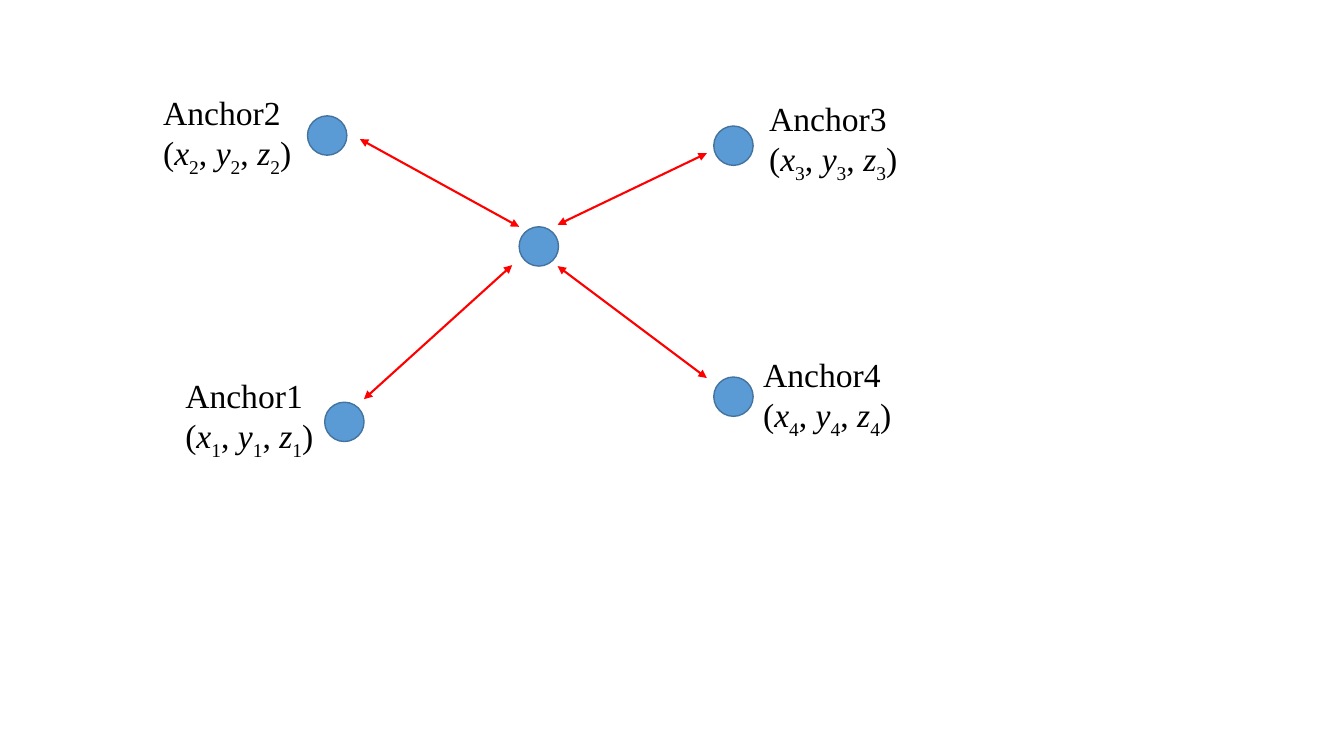
"""Build a slide of four anchors ranging to one central tag."""
from lxml.etree import SubElement
from pptx import Presentation
from pptx.dml.color import RGBColor
from pptx.enum.shapes import MSO_CONNECTOR, MSO_SHAPE
from pptx.enum.text import MSO_AUTO_SIZE
from pptx.oxml.ns import qn
from pptx.util import Inches, Pt

THEME = {
    "dot": RGBColor.from_string("5B9BD5"),
    "edge": RGBColor.from_string("43739E"),
    "link": RGBColor.from_string("FF0000"),
    "ink": RGBColor.from_string("000000"),
    "font": "Times New Roman",
    "size": Pt(24),
}

deck = Presentation()
deck.slide_width, deck.slide_height = Inches(13.33), Inches(7.5)
slide = deck.slides.add_slide(deck.slide_layouts[6])


def place(x, y):
    """Turn percent shares of the slide into lengths."""
    return round(deck.slide_width * x / 100), round(deck.slide_height * y / 100)


def write(para, text, slant=False, base=0):
    """Add one run in the label style."""
    run = para.add_run()
    run.text = text
    run.font.name, run.font.size = THEME["font"], THEME["size"]
    run.font.color.rgb = THEME["ink"]
    run.font.italic = slant
    if base:
        run._r.get_or_add_rPr().set("baseline", str(base * 1000))


tag = (38.63, 30)
anchors = {
    "1": {"dot": (24.16, 53.2), "label": (13.05, 48.93)},
    "2": {"dot": (22.88, 15.33), "label": (11.4, 11.47)},
    "3": {"dot": (53.11, 16.67), "label": (56.49, 12.27)},
    "4": {"dot": (53.11, 49.87), "label": (56.04, 46.13)},
}
links = [
    ((26.78, 18.4), (38.63, 30)),
    ((41.49, 29.73), (52.59, 20.27)),
    ((41.49, 35.2), (52.59, 50)),
    ((38.11, 35.07), (27.08, 52.8)),
]

for spot in [tag] + [anchor["dot"] for anchor in anchors.values()]:
    dot = slide.shapes.add_shape(MSO_SHAPE.OVAL, *place(*spot), *place(2.93, 5.2))
    dot.shadow.inherit = False
    dot.fill.solid()
    dot.fill.fore_color.rgb = THEME["dot"]
    dot.line.color.rgb = THEME["edge"]
    dot.line.width = Pt(1)

for digit, anchor in anchors.items():
    label = slide.shapes.add_textbox(*place(*anchor["label"]), *place(12.08, 12.13))
    frame = label.text_frame
    frame.word_wrap = False
    frame.auto_size = MSO_AUTO_SIZE.SHAPE_TO_FIT_TEXT
    write(frame.paragraphs[0], "Anchor" + digit)
    coords = frame.add_paragraph()
    for lead, axis in zip(("(", ", ", ", "), "xyz"):
        write(coords, lead)
        write(coords, axis, slant=True)
        write(coords, digit, base=-25)
    write(coords, ")")

for start, end in links:
    link = slide.shapes.add_connector(
        MSO_CONNECTOR.STRAIGHT, *place(*start), *place(*end))
    link.line.color.rgb = THEME["link"]
    link.line.width = Pt(1.5)
    for tip in ("a:headEnd", "a:tailEnd"):
        SubElement(link.line._get_or_add_ln(), qn(tip), type="triangle")
    SubElement(link._element.spPr, qn("a:effectLst"))

deck.save("out.pptx")
